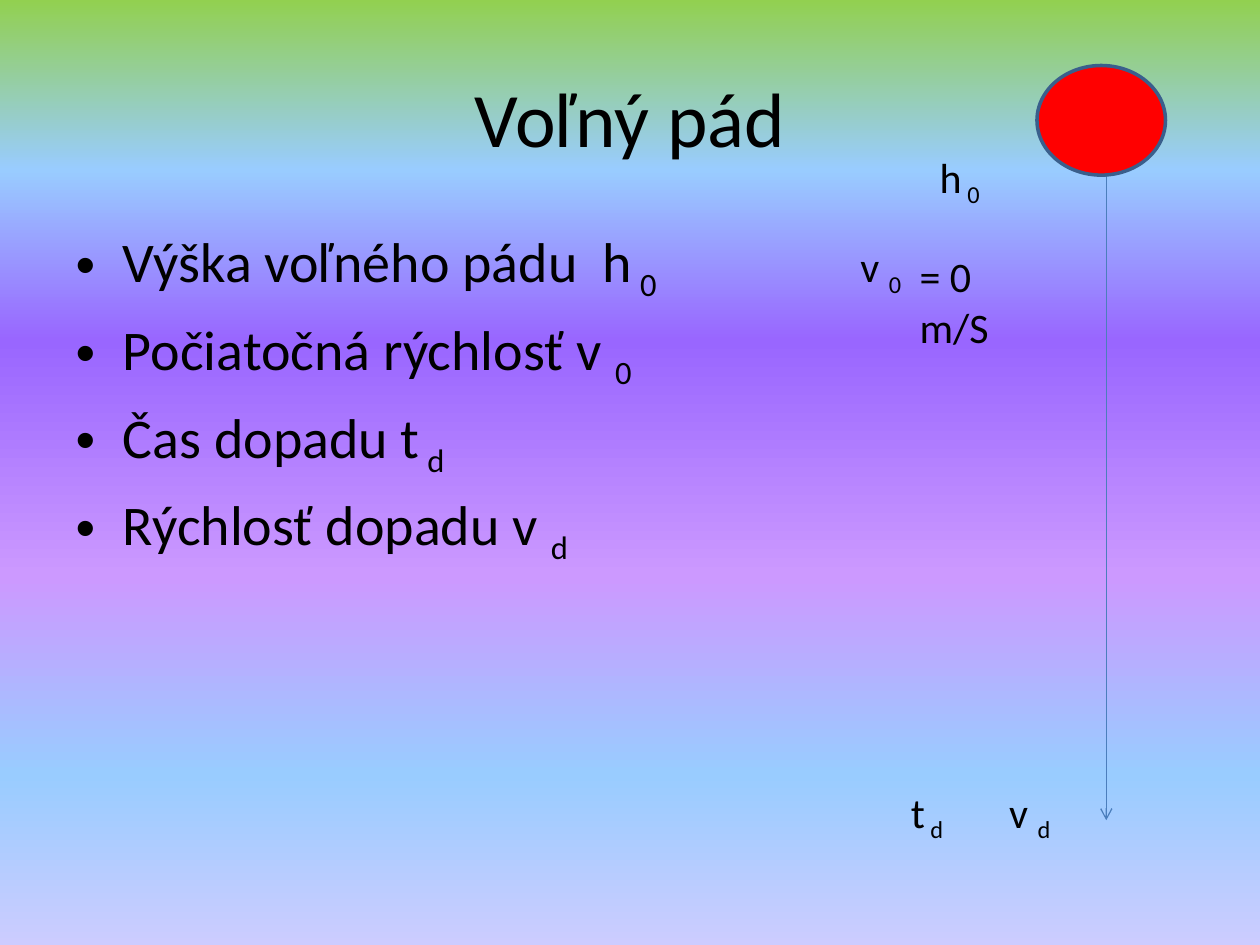
from lxml.etree import SubElement
from pptx import Presentation
from pptx.dml.color import RGBColor
from pptx.enum.dml import MSO_THEME_COLOR
from pptx.enum.shapes import MSO_CONNECTOR as Connector, MSO_SHAPE as Shape
from pptx.enum.text import MSO_ANCHOR as Anchor, MSO_AUTO_SIZE as AutoSize, PP_ALIGN as Align
from pptx.oxml.ns import qn
from pptx.util import Inches, Pt

COLORS = {"text": "000000", "ball": "FF0000", "ball_line": "3A5F8C", "arrow": "4B7EBC"}
GRADIENT = [(0, "92D050"), (18, "99CCFF"), (36, "9966FF"),
            (61, "CC99FF"), (82, "99CCFF"), (100, "CCCCFF")]
QUANTITIES = [("Výška voľného pádu  h", " 0"), ("Počiatočná rýchlosť v ", "0"),
              ("Čas dopadu t", " d"), ("Rýchlosť dopadu v ", "d")]
LABELS = [
    ("h", " 0", (7.36, 1.15, 0.87, 0.5), True),
    ("v ", "0", (6.73, 1.86, 0.63, 0.5), True),
    ("= 0 m/S", "", (7.2, 1.94, 1.1, 0.91), True),
    ("t", " d", (7.13, 6.19, 0.48, 0.5), False),
    ("v ", "d", (7.91, 6.19, 0.55, 0.5), False),
]


def rgb(name):
    return RGBColor.from_string(COLORS[name])


def place(shape, left, top, width, height):
    shape.left, shape.top = Inches(left), Inches(top)
    shape.width, shape.height = Inches(width), Inches(height)


def write(paragraph, text, subscript="", size=24, align=None):
    if align is not None:
        paragraph.alignment = align
    for part, baseline in ((text, None), (subscript, "-25000")):
        if not part:
            continue
        run = paragraph.add_run()
        run.text = part
        run.font.size = Pt(size)
        run.font.name = "Calibri"
        run.font.color.rgb = rgb("text")
        if baseline:
            run._r.get_or_add_rPr().set("baseline", baseline)


def paint_background(slide):
    fill = slide.background.fill
    fill.gradient()
    fill.gradient_angle = 270
    stops = slide.element.find(".//" + qn("a:gsLst"))
    for stop in list(stops):
        stops.remove(stop)
    for position, color in GRADIENT:
        stop = SubElement(stops, qn("a:gs"), pos=str(position * 1000))
        SubElement(stop, qn("a:srgbClr"), val=color)


def fill_title(title):
    place(title, 0.5, 0.3, 9, 1.25)
    title.text_frame.vertical_anchor = Anchor.MIDDLE
    write(title.text_frame.paragraphs[0], "Voľný pád", size=44, align=Align.CENTER)


def fill_list(body):
    place(body, 0.5, 1.75, 5.44, 4.95)
    frame = body.text_frame
    for index, (text, subscript) in enumerate(QUANTITIES):
        paragraph = frame.add_paragraph() if index else frame.paragraphs[0]
        if index == 0:
            paragraph.space_before = Pt(0)
        write(paragraph, text, subscript, size=32)


def add_label(slide, text, subscript, box, wrap):
    label = slide.shapes.add_textbox(*map(Inches, box))
    label.text_frame.word_wrap = wrap
    label.text_frame.auto_size = AutoSize.SHAPE_TO_FIT_TEXT
    write(label.text_frame.paragraphs[0], text, subscript)


def add_arrow(slide, x, top, bottom):
    arrow = slide.shapes.add_connector(
        Connector.STRAIGHT, Inches(x), Inches(top), Inches(x), Inches(bottom))
    arrow.line.color.rgb = rgb("arrow")
    arrow.line.width = Pt(0.75)
    SubElement(arrow.line._get_or_add_ln(), qn("a:tailEnd"), type="arrow")
    SubElement(arrow._element.spPr, qn("a:effectLst"))


def add_ball(slide, left, top, width, height):
    ball = slide.shapes.add_shape(Shape.OVAL, *map(Inches, (left, top, width, height)))
    ball.shadow.inherit = False
    ball.fill.solid()
    ball.fill.fore_color.rgb = rgb("ball")
    ball.line.color.rgb = rgb("ball_line")
    ball.line.width = Pt(2)


def main():
    presentation = Presentation()
    presentation.slide_width, presentation.slide_height = Inches(10), Inches(7.5)
    slide = presentation.slides.add_slide(presentation.slide_layouts[1])
    paint_background(slide)
    fill_title(slide.shapes.title)
    fill_list(slide.placeholders[1])
    add_arrow(slide, 8.78, 1.15, 6.51)
    for text, subscript, box, wrap in LABELS:
        add_label(slide, text, subscript, box, wrap)
    add_ball(slide, 8.23, 0.52, 1.02, 0.87)
    presentation.save("out.pptx")


if __name__ == "__main__":
    main()
